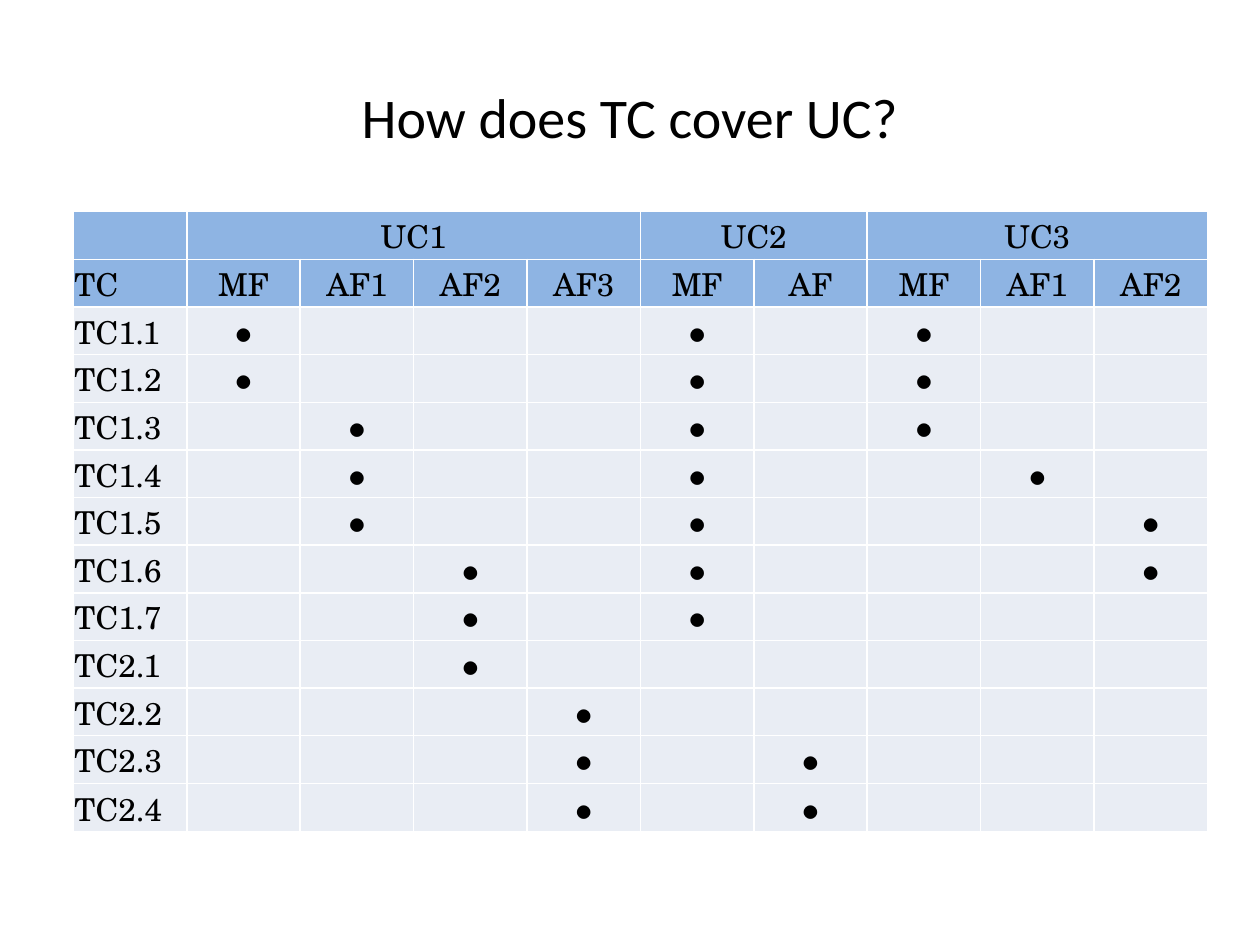
from lxml import etree
from pptx import Presentation
from pptx import util as u
from pptx.dml.color import RGBColor
from pptx.enum import text
from pptx.oxml import ns

COLORS = {"ink": "000000", "header": "8EB4E3", "body": "E9EDF4", "rule": "FFFFFF"}
TITLE_FONT = "Calibri"
TABLE_FONT = "TeX Gyre Schola"
USE_CASES = {
    "UC1": ["MF", "AF1", "AF2", "AF3"],
    "UC2": ["MF", "AF"],
    "UC3": ["MF", "AF1", "AF2"],
}
COVERAGE = {
    "TC1.1": [("UC1", "MF"), ("UC2", "MF"), ("UC3", "MF")],
    "TC1.2": [("UC1", "MF"), ("UC2", "MF"), ("UC3", "MF")],
    "TC1.3": [("UC1", "AF1"), ("UC2", "MF"), ("UC3", "MF")],
    "TC1.4": [("UC1", "AF1"), ("UC2", "MF"), ("UC3", "AF1")],
    "TC1.5": [("UC1", "AF1"), ("UC2", "MF"), ("UC3", "AF2")],
    "TC1.6": [("UC1", "AF2"), ("UC2", "MF"), ("UC3", "AF2")],
    "TC1.7": [("UC1", "AF2"), ("UC2", "MF")],
    "TC2.1": [("UC1", "AF2")],
    "TC2.2": [("UC1", "AF3")],
    "TC2.3": [("UC1", "AF3"), ("UC2", "AF")],
    "TC2.4": [("UC1", "AF3"), ("UC2", "AF")],
}
FLOWS = [(case, flow) for case, flows in USE_CASES.items() for flow in flows]
COLUMN_WIDTH = u.Cm(2.286)
ROW_HEIGHT = u.Cm(0.96)
EDGE_ROW_HEIGHT = u.Cm(0.98)


def add_run(paragraph, words, font, size):
    run = paragraph.add_run()
    run.text = words
    run.font.name = font
    run.font.size = u.Pt(size)
    run.font.color.rgb = RGBColor.from_string(COLORS["ink"])


def add_title(slide, words):
    title = slide.shapes.add_textbox(u.Cm(1.27), u.Cm(0.76), u.Cm(22.86), u.Cm(3.18))
    frame = title.text_frame
    frame.word_wrap = True
    frame.vertical_anchor = text.MSO_ANCHOR.MIDDLE
    heading = frame.paragraphs[0]
    heading.alignment = text.PP_ALIGN.CENTER
    add_run(heading, words, TITLE_FONT, 32)


def add_borders(cell):
    properties = cell._tc.get_or_add_tcPr()
    for side in ("lnL", "lnR", "lnT", "lnB"):
        line = etree.SubElement(properties, ns.qn(f"a:{side}"), w=str(u.Pt(1)))
        paint = etree.SubElement(line, ns.qn("a:solidFill"))
        etree.SubElement(paint, ns.qn("a:srgbClr"), val=COLORS["rule"])


def style_cell(cell, fill):
    add_borders(cell)
    cell.fill.solid()
    cell.fill.fore_color.rgb = RGBColor.from_string(COLORS[fill])
    cell.margin_left = cell.margin_right = cell.margin_top = u.Cm(0.02)
    cell.margin_bottom = 0
    cell.vertical_anchor = text.MSO_ANCHOR.BOTTOM


def write_cell(cell, words, align=text.PP_ALIGN.CENTER):
    paragraph = cell.text_frame.paragraphs[0]
    paragraph.alignment = align
    add_run(paragraph, words, TABLE_FONT, 18)


def add_grid(slide):
    row_count, column_count = len(COVERAGE) + 2, len(FLOWS) + 1
    height = ROW_HEIGHT * (row_count - 2) + EDGE_ROW_HEIGHT * 2
    matrix = slide.shapes.add_table(
        row_count, column_count, u.Cm(1.48), u.Cm(4.25), COLUMN_WIDTH * column_count, height
    ).table
    matrix.first_row = matrix.horz_banding = False
    for column in matrix.columns:
        column.width = COLUMN_WIDTH
    for index, row in enumerate(matrix.rows):
        row.height = EDGE_ROW_HEIGHT if index in (0, row_count - 1) else ROW_HEIGHT
        for cell in row.cells:
            style_cell(cell, "header" if index < 2 else "body")
    return matrix


def fill_headers(matrix):
    first = 1
    for case, flows in USE_CASES.items():
        last = first + len(flows) - 1
        matrix.cell(0, first).merge(matrix.cell(0, last))
        write_cell(matrix.cell(0, first), case)
        first = last + 1
    write_cell(matrix.cell(1, 0), "TC", text.PP_ALIGN.LEFT)
    for column, (_, flow) in enumerate(FLOWS, 1):
        write_cell(matrix.cell(1, column), flow)


def fill_coverage(matrix):
    for row, (test_case, covered) in enumerate(COVERAGE.items(), 2):
        write_cell(matrix.cell(row, 0), test_case, text.PP_ALIGN.LEFT)
        for flow in covered:
            write_cell(matrix.cell(row, FLOWS.index(flow) + 1), "●")


def main():
    deck = Presentation()
    deck.slide_width, deck.slide_height = u.Cm(25.4), u.Cm(19.05)
    slide = deck.slides.add_slide(deck.slide_layouts[6])
    add_title(slide, "How does TC cover UC?")
    matrix = add_grid(slide)
    fill_headers(matrix)
    fill_coverage(matrix)
    deck.save("out.pptx")


if __name__ == "__main__":
    main()
